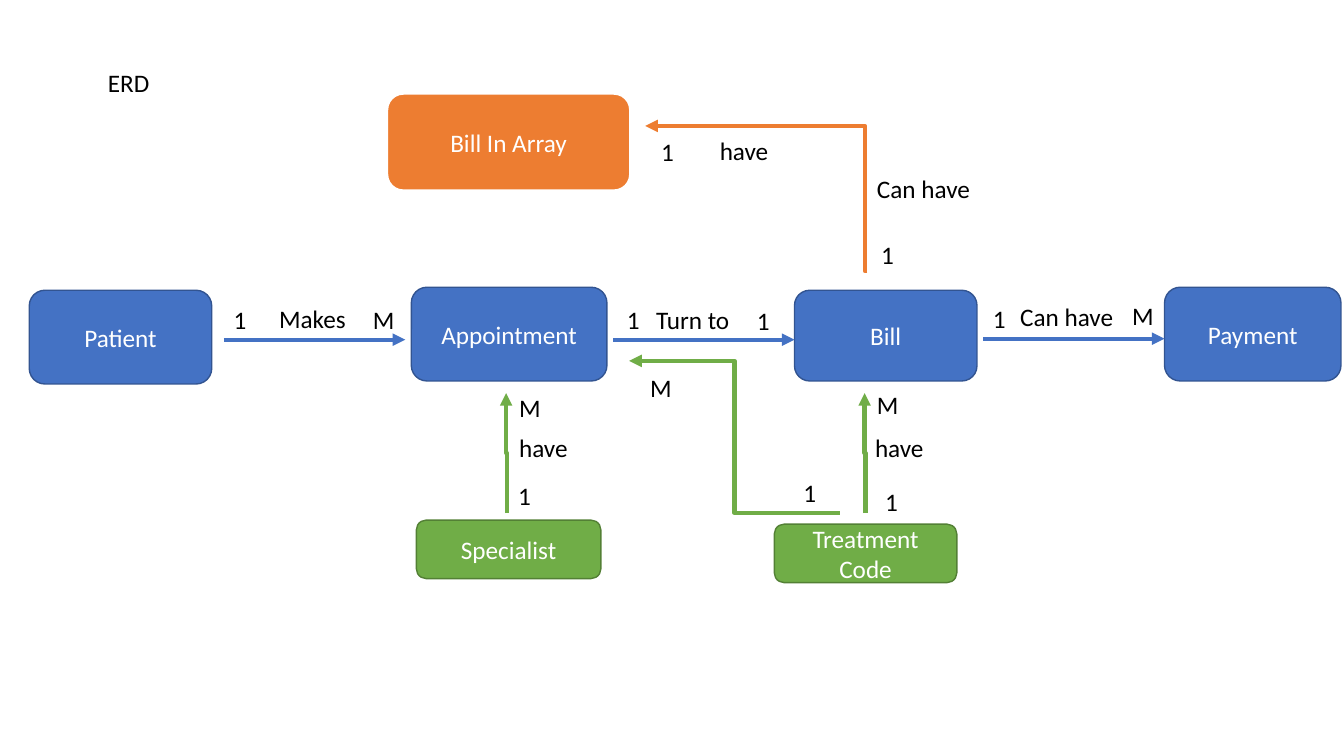
from dataclasses import dataclass

from lxml import etree
from pptx import Presentation
from pptx.dml.color import RGBColor
from pptx.enum.shapes import MSO_CONNECTOR, MSO_SHAPE
from pptx.enum.text import MSO_ANCHOR, PP_ALIGN
from pptx.oxml.ns import qn
from pptx.util import Inches, Pt

ROUND = MSO_SHAPE.FLOWCHART_ALTERNATE_PROCESS
LINE, BENT = MSO_CONNECTOR.STRAIGHT, MSO_CONNECTOR.ELBOW
TOP, MID = MSO_ANCHOR.TOP, MSO_ANCHOR.MIDDLE
LEFT, MIDST = PP_ALIGN.LEFT, PP_ALIGN.CENTER
HEX = {
    "blue": "4472C4", "navy": "325491", "green": "70AD47", "moss": "538035",
    "orange": "ED7D31", "white": "FFFFFF", "black": "000000",
}
EDGE = {"blue": ("navy", 1), "green": ("moss", 1), "orange": ("white", 1.5)}
WIDE, HIGH = Inches(13.33), Inches(7.5)
COL, ROW = WIDE / 133.3, HIGH / 75
SPAN = {"1": 3.4, "M": 3.4, "have": 7.9, "Makes": 9.7, "Turn to": 12, "Can have": 12}


@dataclass
class Node:
    text: str
    hue: str
    x: float
    y: float
    w: float
    h: float


@dataclass
class Link:
    kind: int
    hue: str
    x: float
    y: float
    to_x: float
    to_y: float
    bend: float = 0.5
    turn: int = 0


@dataclass
class Tag:
    text: str
    x: float
    y: float


def tint(name: str) -> RGBColor:
    return RGBColor.from_string(HEX[name])


def grid(x: float, y: float) -> tuple[int, int]:
    return round(x * COL), round(y * ROW)


def write(shape, text: str, hue: str, align, anchor) -> None:
    frame = shape.text_frame
    frame.text = text
    frame.word_wrap = True
    frame.vertical_anchor = anchor
    para = frame.paragraphs[0]
    para.alignment = align
    font = para.runs[0].font
    font.name, font.size = "Calibri", Pt(18)
    font.color.rgb = tint(hue)


def draw_node(slide, node: Node) -> None:
    box = slide.shapes.add_shape(ROUND, *grid(node.x, node.y), *grid(node.w, node.h))
    box.shadow.inherit = False
    box.fill.solid()
    box.fill.fore_color.rgb = tint(node.hue)
    edge, width = EDGE[node.hue]
    box.line.color.rgb = tint(edge)
    box.line.width = Pt(width)
    write(box, node.text, "white", MIDST, MID)


def draw_link(slide, link: Link) -> None:
    wire = slide.shapes.add_connector(
        link.kind, *grid(link.x, link.y), *grid(link.to_x, link.to_y))
    wire.line.color.rgb = tint(link.hue)
    wire.line.width = Pt(3)
    props = wire.element.spPr
    etree.SubElement(props.find(qn("a:ln")), qn("a:tailEnd"), type="triangle")
    etree.SubElement(props, qn("a:effectLst"))
    if link.turn:
        props.find(qn("a:xfrm")).set("rot", str(link.turn * 60000))
    if link.kind == BENT:
        guides = props.find(qn("a:prstGeom")).find(qn("a:avLst"))
        etree.SubElement(guides, qn("a:gd"), name="adj1",
                         fmla=f"val {round(link.bend * 100000)}")


def draw_tag(slide, tag: Tag) -> None:
    box = slide.shapes.add_textbox(*grid(tag.x, tag.y), *grid(SPAN[tag.text], 4))
    write(box, tag.text, "black", LEFT, TOP)


def rise(x: float) -> Link:
    mid, half = 44.95, 5.95
    return Link(BENT, "green", x - half, mid + 0.05, x + half, mid - 0.05, turn=270)


NODES = [
    Node("Patient", "blue", 2.9, 28.8, 18.1, 9.3),
    Node("Treatment Code", "green", 76.8, 52, 18.1, 5.8),
    Node("Bill", "blue", 78.8, 28.8, 18.1, 9),
    Node("Appointment", "blue", 40.8, 28.5, 19.4, 9.3),
    Node("Payment", "blue", 115.5, 28.5, 17.5, 9.3),
    Node("Specialist", "green", 41.3, 51.6, 18.3, 5.8),
    Node("Bill In Array", "orange", 38.4, 9.3, 24.1, 9.6),
]
LINKS = [
    *(Link(LINE, "blue", x, y, x + 18, y)
      for x, y in [(22.2, 33.7), (97.5, 33.6), (60.8, 33.7)]),
    rise(50.25), rise(85.8),
    Link(BENT, "green", 83.3, 50.9, 62.4, 35.8),
    Link(BENT, "orange", 86, 26.9, 64, 12.5, bend=0.01),
]
TAGS = [
    Tag("Makes", 26.7, 29.6), Tag("1", 22.2, 29.7), Tag("M", 36, 29.7),
    Tag("1", 61.2, 29.7), Tag("1", 74.1, 29.8), Tag("Turn to", 64.1, 29.7),
    Tag("1", 97.5, 29.6), Tag("M", 111.3, 29.3), Tag("Can have", 100.2, 29.4),
    Tag("1", 50.4, 47.2), Tag("M", 50.5, 38.4), Tag("have", 50.5, 42.4),
    Tag("M", 86, 38.1), Tag("1", 86.8, 47.8), Tag("have", 85.8, 42.4),
    Tag("1", 78.7, 46.9), Tag("M", 63.5, 36.4),
    Tag("have", 70.4, 12.9), Tag("1", 86.4, 23.3),
    Tag("1", 64.6, 13), Tag("Can have", 86, 16.7),
]

deck = Presentation()
deck.slide_width, deck.slide_height = WIDE, HIGH
slide = deck.slides.add_slide(deck.slide_layouts[5])
title = slide.shapes.title
title.left, title.top = grid(9.7, 6.2)
title.width, title.height = grid(11, 4)
write(title, "ERD", "black", LEFT, TOP)
for node in NODES:
    draw_node(slide, node)
for link in LINKS:
    draw_link(slide, link)
for tag in TAGS:
    draw_tag(slide, tag)
deck.save("out.pptx")
